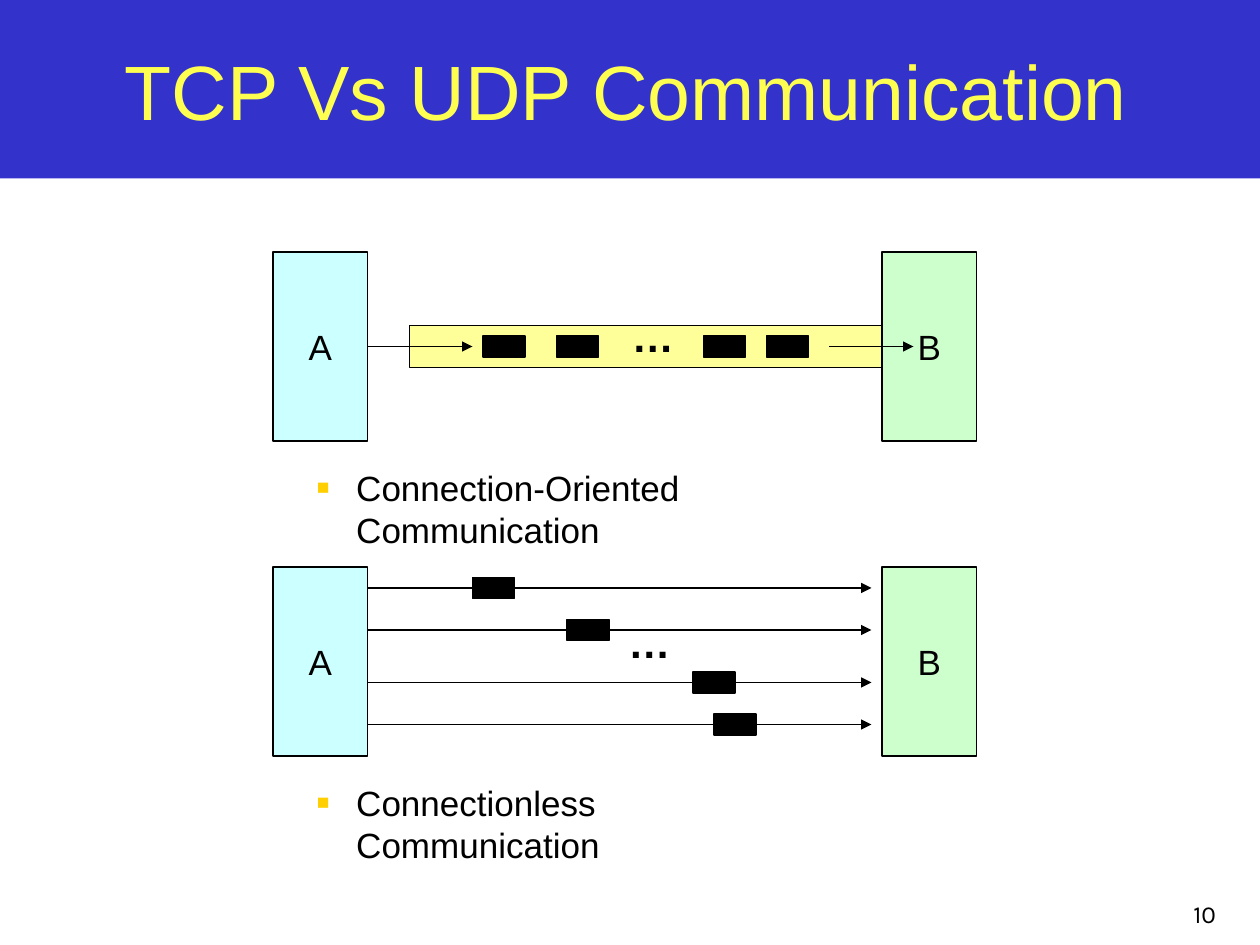
from lxml import etree
from pptx import Presentation
from pptx.dml.color import RGBColor
from pptx.enum.shapes import MSO_CONNECTOR, MSO_SHAPE
from pptx.enum.text import MSO_ANCHOR, MSO_AUTO_SIZE, PP_ALIGN
from pptx.oxml.ns import qn
from pptx.util import Pt

BLACK = RGBColor(0x00, 0x00, 0x00)
BAND_BLUE = RGBColor(0x33, 0x33, 0xCC)
TITLE_YELLOW = RGBColor(0xFE, 0xFE, 0x50)
SENDER_CYAN = RGBColor(0xCC, 0xFF, 0xFF)
RECEIVER_GREEN = RGBColor(0xCC, 0xFF, 0xCC)
PIPE_YELLOW = RGBColor(0xFF, 0xFF, 0x99)
BULLET_GOLD = "FFCF01"

HOST_WIDTH, HOST_HEIGHT = 54, 108
PACKET_WIDTH, PACKET_HEIGHT = 24, 12
PANEL_LEFT, PANEL_WIDTH = 156, 402
CAPTION_WRAP = 230


def write(shape, text, size, align, color=BLACK, font="Arial", bold=False):
    shape.text_frame.text = text
    paragraph = shape.text_frame.paragraphs[0]
    paragraph.alignment = align
    run_font = paragraph.runs[0].font
    run_font.name = font
    run_font.size = Pt(size)
    run_font.bold = bold
    run_font.color.rgb = color


def add_box(slide, left, top, width, height, fill, outline=BLACK):
    shape = slide.shapes.add_shape(
        MSO_SHAPE.RECTANGLE, Pt(left), Pt(top), Pt(width), Pt(height))
    shape.shadow.inherit = False
    shape.fill.solid()
    shape.fill.fore_color.rgb = fill
    if outline is None:
        shape.line.fill.background()
    else:
        shape.line.color.rgb = outline
        shape.line.width = Pt(1)
    return shape


def add_text(slide, left, top, width, height, text, size, align, **style):
    box = slide.shapes.add_textbox(Pt(left), Pt(top), Pt(width), Pt(height))
    box.text_frame.word_wrap = True
    write(box, text, size, align, **style)
    return box


def add_host(slide, left, top, name, fill):
    host = add_box(slide, left, top, HOST_WIDTH, HOST_HEIGHT, fill)
    host.text_frame.vertical_anchor = MSO_ANCHOR.MIDDLE
    write(host, name, 20, PP_ALIGN.CENTER)


def add_packet(slide, left, middle):
    add_box(slide, left, middle - PACKET_HEIGHT / 2,
            PACKET_WIDTH, PACKET_HEIGHT, BLACK)


def add_arrow(slide, start, end, y):
    arrow = slide.shapes.add_connector(
        MSO_CONNECTOR.STRAIGHT, Pt(start), Pt(y), Pt(end), Pt(y))
    arrow.line.color.rgb = BLACK
    arrow.line.width = Pt(1)
    properties = arrow._element.spPr
    etree.SubElement(properties.find(qn("a:ln")), qn("a:tailEnd"), type="triangle")
    etree.SubElement(properties, qn("a:effectLst"))


def add_ellipsis(slide, left, top):
    add_text(slide, left, top, 38, 36, "…", 24, PP_ALIGN.LEFT, bold=True)


def add_caption(slide, left, top, width, text):
    caption = add_text(slide, left, top, width, 31, text, 20, PP_ALIGN.LEFT)
    caption.text_frame.margin_right = Pt(width - CAPTION_WRAP)
    properties = caption.text_frame.paragraphs[0]._p.get_or_add_pPr()
    properties.set("marL", str(Pt(22.5)))
    properties.set("indent", str(-Pt(22.5)))
    color = etree.SubElement(properties, qn("a:buClr"))
    etree.SubElement(color, qn("a:srgbClr"), val=BULLET_GOLD)
    etree.SubElement(properties, qn("a:buSzPct"), val="60000")
    etree.SubElement(properties, qn("a:buFont"), typeface="Arial")
    etree.SubElement(properties, qn("a:buChar"), char="■")


def add_panel(slide, left, top, width, caption, caption_width):
    add_host(slide, left, top, "A", SENDER_CYAN)
    add_host(slide, left + width - HOST_WIDTH, top, "B", RECEIVER_GREEN)
    add_caption(slide, left + 18, top + 119, caption_width, caption)


def add_connection_oriented(slide, left, top, width):
    add_panel(slide, left, top, width, "Connection-Oriented Communication", 366)
    middle = top + HOST_HEIGHT / 2
    pipe_left, pipe_height = 78, 24
    add_box(slide, left + pipe_left, middle - pipe_height / 2,
            width - HOST_WIDTH - pipe_left, pipe_height, PIPE_YELLOW)
    for start, end in ((HOST_WIDTH, 114), (318, 366)):
        add_arrow(slide, left + start, left + end, middle)
    for offset in (120, 162, 246, 282):
        add_packet(slide, left + offset, middle)
    add_ellipsis(slide, left + 198, top + 30)


def add_connectionless(slide, left, top, width):
    add_panel(slide, left, top, width, "Connectionless Communication", 318)
    for offset, drop in ((114, 12), (168, 36), (240, 66), (252, 90)):
        add_arrow(slide, left + HOST_WIDTH, left + width - HOST_WIDTH - 6, top + drop)
        add_packet(slide, left + offset, top + drop)
    add_ellipsis(slide, left + 196, top + 24.5)


def add_header(slide, width, height):
    band = add_box(slide, 0, 0, width, height, BAND_BLUE, outline=None)
    slide.shapes._spTree.insert(2, band._element)
    title = slide.shapes.title
    title.left, title.top = Pt(12), Pt(12)
    title.width, title.height = Pt(width - 28), Pt(height - 24)
    write(title, "TCP Vs UDP Communication", 44, PP_ALIGN.CENTER, color=TITLE_YELLOW)
    title.text_frame.auto_size = MSO_AUTO_SIZE.NONE
    title.text_frame.vertical_anchor = MSO_ANCHOR.MIDDLE


def add_page_number(slide, left, top, width, height):
    number = add_text(slide, left, top, width, height, "10", 14,
                      PP_ALIGN.RIGHT, font="Karla")
    number.text_frame.vertical_anchor = MSO_ANCHOR.BOTTOM


def main():
    presentation = Presentation()
    presentation.slide_width, presentation.slide_height = Pt(720), Pt(540)
    slide = presentation.slides.add_slide(presentation.slide_layouts[5])
    add_header(slide, 720, 102)
    add_connection_oriented(slide, PANEL_LEFT, 144, PANEL_WIDTH)
    add_connectionless(slide, PANEL_LEFT, 324, PANEL_WIDTH)
    add_page_number(slide, 552, 498, 150, 36)
    presentation.save("out.pptx")


if __name__ == "__main__":
    main()
